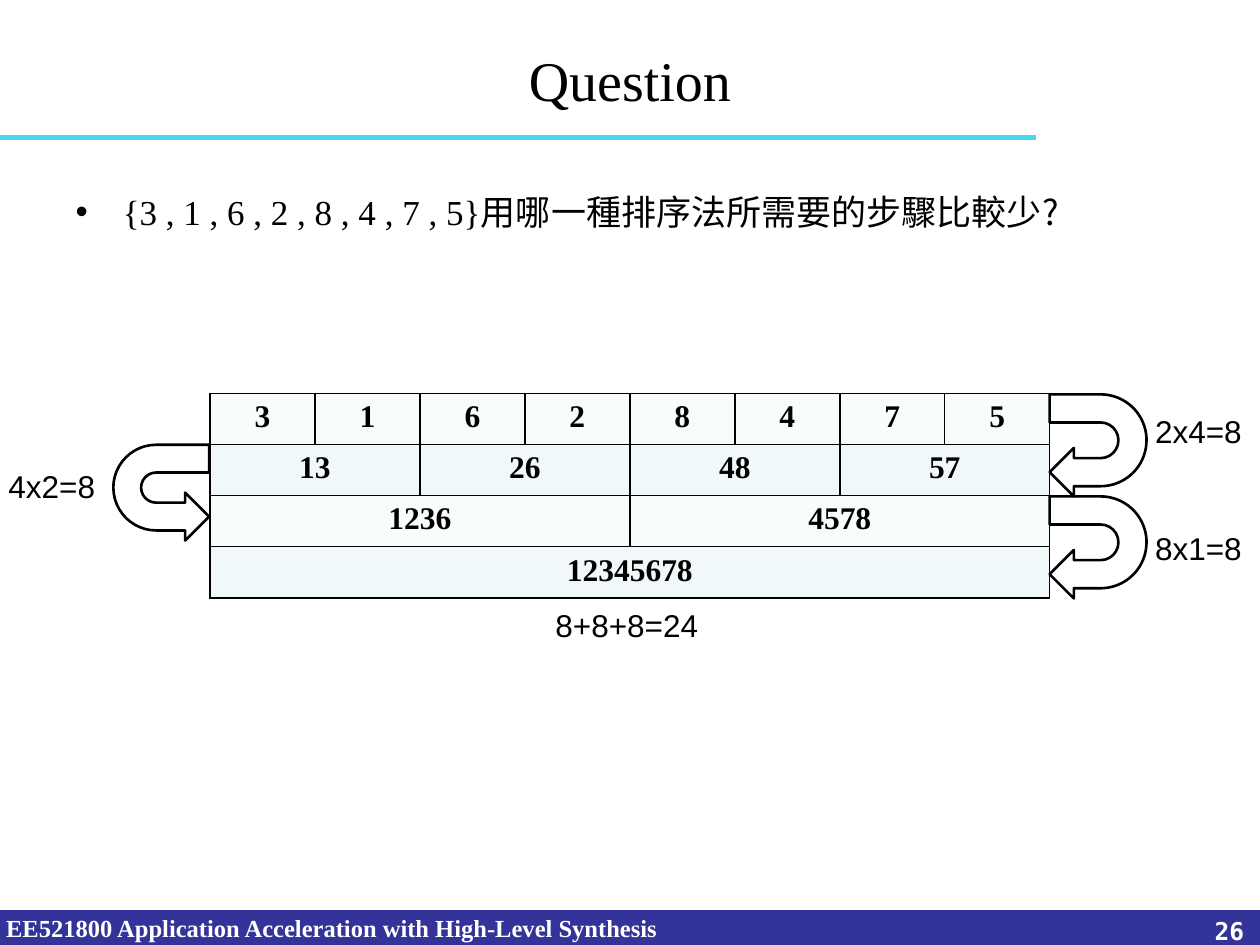
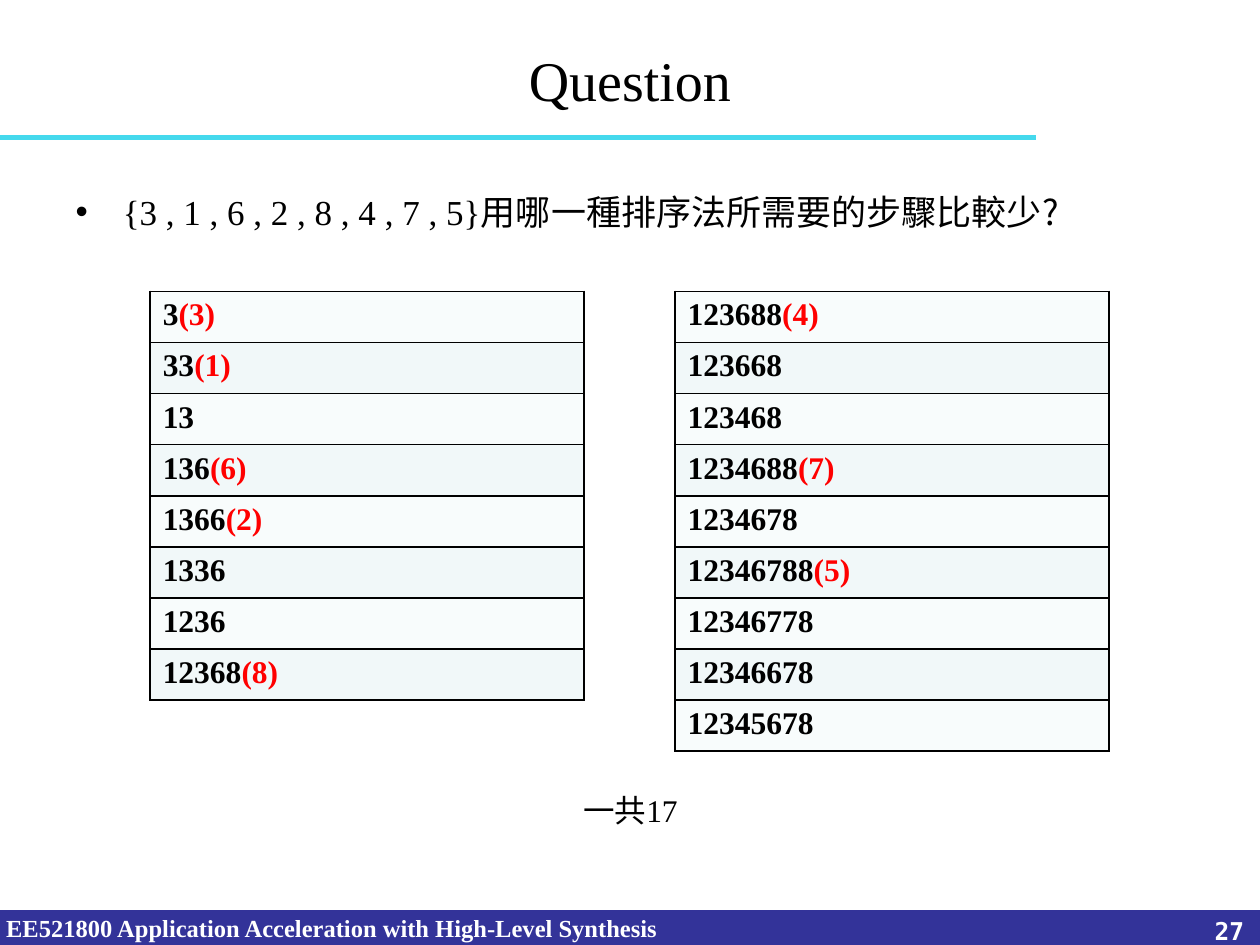
from lxml.etree import SubElement
from pptx import Presentation
from pptx.dml.color import RGBColor
from pptx.enum.shapes import MSO_CONNECTOR, MSO_SHAPE
from pptx.enum.text import MSO_ANCHOR, MSO_AUTO_SIZE, PP_ALIGN as ALIGN
from pptx.oxml.ns import qn
from pptx.util import Pt

COLORS = dict(ink="000000", paper="FFFFFF", band="333399", rule="45D9ED",
              new="FF0000", odd="F8FCFC", even="F1F8F9")
SERIF, SANS, MONO, CJK = "Times New Roman", "Arial", "DejaVu Sans Mono", "Noto Sans CJK SC"

TITLE = "Question"
QUESTION = [("{3 , 1 , 6 , 2 , 8 , 4 , 7 , 5}", SERIF), ("用哪一種排序法所需要的步驟比較少?", CJK)]
COURSE = "EE521800 Application Acceleration with High-Level Synthesis"
FIRST_PAGE = 26

MERGE_ROWS = [
    ["3", "1", "6", "2", "8", "4", "7", "5"],
    ["13", "26", "48", "57"],
    ["1236", "4578"],
    ["12345678"],
]
MERGE_LABELS = [
    ("2x4=8", 653, 231.8, 67),
    ("4x2=8", -2.2, 263.5, 67),
    ("8x1=8", 653, 298.8, 67),
    ("8+8+8=24", 310.3, 342.7, 100),
]
MERGE_ARROWS = [
    (598.3, 285.1, 58.3, 55.4, False),
    (598.3, 226.8, 58.3, 55.4, False),
    (64.8, 254.2, 54.7, 54.7, True),
]
UTURN = (0.29, 0.25, 0.25, 0.48, 1)

INSERT_STEPS = [
    [("3", "(3)"), ("33", "(1)"), ("13", ""), ("136", "(6)"),
     ("1366", "(2)"), ("1336", ""), ("1236", ""), ("12368", "(8)")],
    [("123688", "(4)"), ("123668", ""), ("123468", ""), ("1234688", "(7)"), ("1234678", ""),
     ("12346788", "(5)"), ("12346778", ""), ("12346678", ""), ("12345678", "")],
]
INSERT_TOTAL = [("一共", CJK), ("17", SERIF)]

ROW_H = 29.2
MERGE_LEFT, MERGE_TOP, MERGE_W = 120, 224.8, 480
INSERT_LEFT, INSERT_TOP, INSERT_W, INSERT_PITCH = 85.8, 166.5, 248, 300


def rgb(name):
    return RGBColor.from_string(COLORS[name])


def box(*lengths):
    return [Pt(v) for v in lengths]


def place(shape, *lengths):
    shape.left, shape.top, shape.width, shape.height = box(*lengths)


def style(r, size, font=SERIF, color="ink", bold=False):
    r.font.size, r.font.name, r.font.bold = Pt(size), font, bold
    r.font.color.rgb = rgb(color)
    if font == CJK:
        SubElement(r._r.get_or_add_rPr(), qn("a:ea")).set("typeface", font)


def add_runs(p, parts, size):
    for text, font in parts:
        r = p.add_run()
        r.text = text
        style(r, size, font)


def add_box(s, *lengths, align=ALIGN.LEFT):
    tf = s.shapes.add_textbox(*box(*lengths)).text_frame
    tf.word_wrap = True
    tf.paragraphs[0].alignment = align
    return tf


def add_text(s, text, *lengths, size=18, align=ALIGN.LEFT, **font):
    tf = add_box(s, *lengths, align=align)
    tf.text = text
    tf.paragraphs[0].alignment = align
    style(tf.paragraphs[0].runs[0], size, **font)
    return tf


def add_frame(prs, page):
    s = prs.slides.add_slide(prs.slide_layouts[1])
    band = s.shapes.add_shape(MSO_SHAPE.RECTANGLE, *box(0, 520.3, 720, 21.6))
    band.shadow.inherit = False
    band.fill.solid()
    band.fill.fore_color.rgb = band.line.color.rgb = rgb("band")
    band.line.width = Pt(0.75)
    tf = add_text(s, COURSE, 0, 518.4, 541, 24.5, size=14, color="paper", bold=True)
    tf.margin_left = Pt(3.5)

    rule = s.shapes.add_connector(MSO_CONNECTOR.STRAIGHT, *box(0, 78.5, 592, 78.5))
    rule.line.color.rgb, rule.line.width = rgb("rule"), Pt(3)
    SubElement(rule._element.spPr, qn("a:effectLst"))

    title, body = s.placeholders
    place(title, 36, 0, 648, 90)
    title.text_frame.text = TITLE
    title.text_frame.vertical_anchor = MSO_ANCHOR.MIDDLE
    p = title.text_frame.paragraphs[0]
    p.alignment = ALIGN.CENTER
    style(p.runs[0], 32)

    place(body, 36, 105, 648, 356.4)
    body.text_frame.auto_size = MSO_AUTO_SIZE.NONE
    p = body.text_frame.paragraphs[0]
    p.alignment, p.space_before = ALIGN.JUSTIFY, Pt(4)
    pPr = p._p.get_or_add_pPr()
    pPr.set("marL", str(Pt(27)))
    pPr.set("indent", str(-Pt(27)))
    SubElement(pPr, qn("a:buChar")).set("char", "•")
    add_runs(p, QUESTION, 20)

    add_text(s, str(page), 550, 519.8, 168, 37.4, size=14, align=ALIGN.RIGHT,
             font=MONO, color="paper", bold=True)
    return s


def add_grid(s, rows, cols, left, top, width):
    table = s.shapes.add_table(rows, cols, *box(left, top, width, rows * ROW_H)).table
    for i in range(rows):
        table.rows[i].height = Pt(ROW_H)
        for j in range(cols):
            cell = table.cell(i, j)
            tcPr = cell._tc.get_or_add_tcPr()
            for side in ("lnL", "lnR", "lnT", "lnB"):
                ln = SubElement(tcPr, qn(f"a:{side}"), w=str(Pt(1)))
                SubElement(SubElement(ln, qn("a:solidFill")), qn("a:srgbClr"), val=COLORS["ink"])
            cell.fill.solid()
            cell.fill.fore_color.rgb = rgb("even" if i % 2 else "odd")
    return table


def add_merge_table(s):
    cols = len(MERGE_ROWS[0])
    table = add_grid(s, len(MERGE_ROWS), cols, MERGE_LEFT, MERGE_TOP, MERGE_W)
    for i, runs in enumerate(MERGE_ROWS):
        span = cols // len(runs)
        for j, text in enumerate(runs):
            cell = table.cell(i, j * span)
            if span > 1:
                cell.merge(table.cell(i, (j + 1) * span - 1))
            p = cell.text_frame.paragraphs[0]
            p.text, p.alignment = text, ALIGN.CENTER
            style(p.runs[0], 18, bold=True)


def add_insert_table(s, steps, left):
    table = add_grid(s, len(steps), 1, left, INSERT_TOP, INSERT_W)
    for i, (done, new) in enumerate(steps):
        p = table.cell(i, 0).text_frame.paragraphs[0]
        for text, color in ((done, "ink"), (new, "new")):
            if text:
                r = p.add_run()
                r.text = text
                style(r, 18, color=color, bold=True)


def add_uturn(s, left, top, width, height, flipped):
    arrow = s.shapes.add_shape(MSO_SHAPE.U_TURN_ARROW, *box(left, top, width, height))
    arrow.shadow.inherit = False
    arrow.rotation = 90
    for i, value in enumerate(UTURN):
        arrow.adjustments[i] = value
    arrow.fill.background()
    arrow.line.color.rgb, arrow.line.width = rgb("ink"), Pt(1.5)
    if flipped:
        arrow._element.spPr.find(qn("a:xfrm")).set("flipV", "1")


def main():
    prs = Presentation()
    prs.slide_width, prs.slide_height = box(720, 540)

    s = add_frame(prs, FIRST_PAGE)
    add_merge_table(s)
    for arrow in MERGE_ARROWS:
        add_uturn(s, *arrow)
    for text, left, top, width in MERGE_LABELS:
        add_text(s, text, left, top, width, 29, font=SANS)

    s = add_frame(prs, FIRST_PAGE + 1)
    for i, steps in enumerate(INSERT_STEPS):
        add_insert_table(s, steps, INSERT_LEFT + i * INSERT_PITCH)
    tf = add_box(s, 310.3, 448.6, 100, 29, align=ALIGN.CENTER)
    add_runs(tf.paragraphs[0], INSERT_TOTAL, 18)

    prs.save("out.pptx")


if __name__ == "__main__":
    main()
